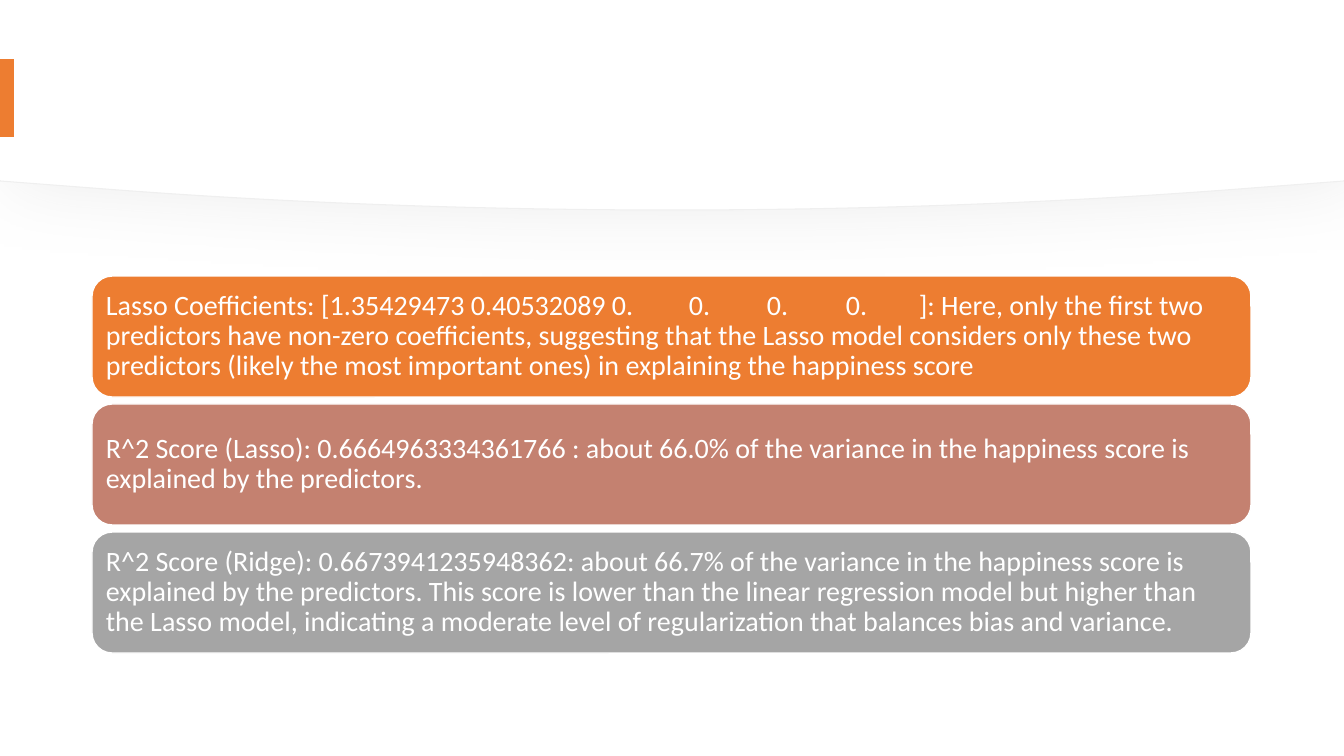
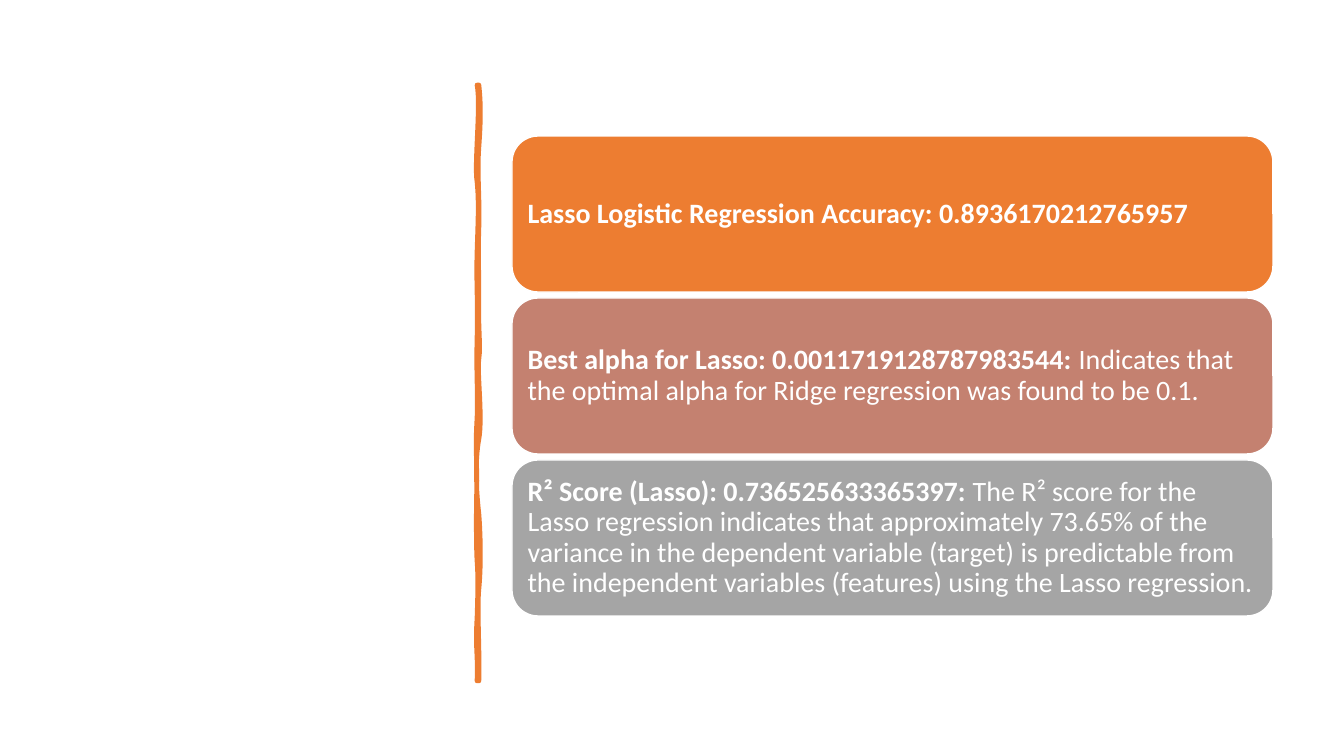
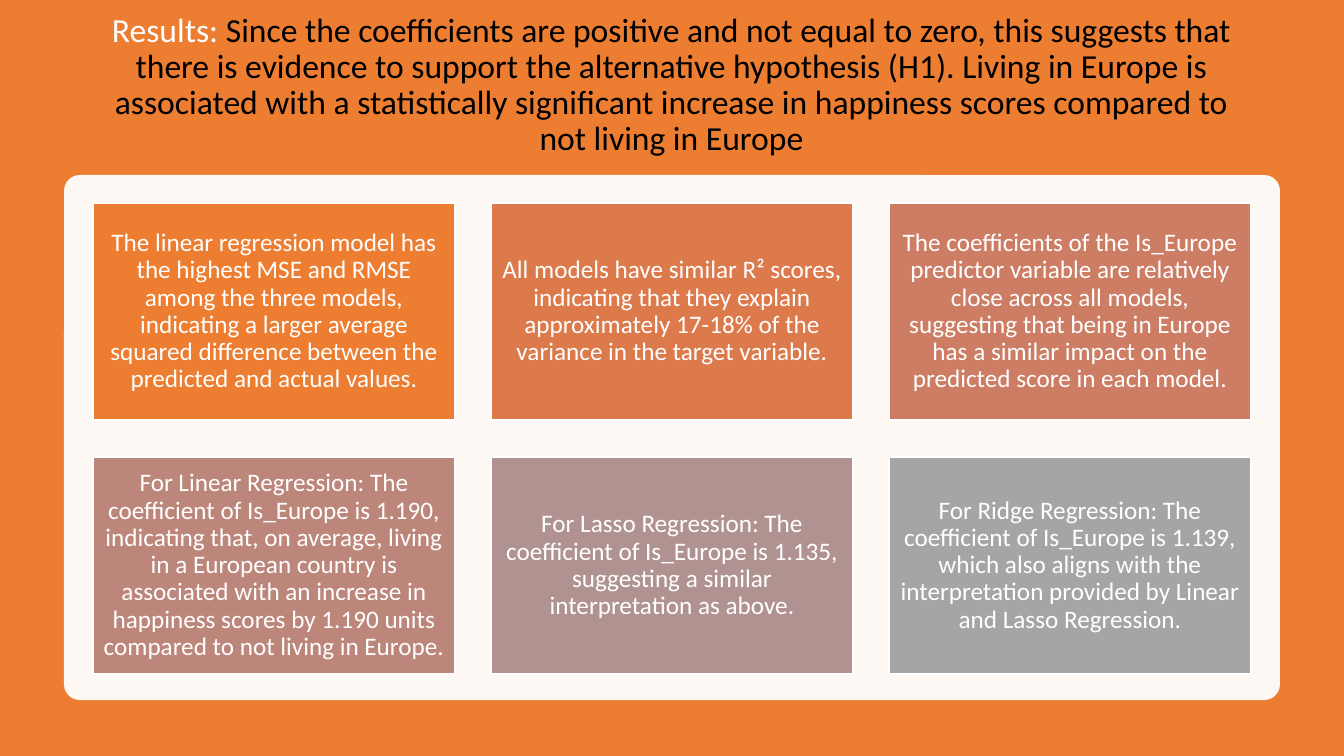
"""Build three slides on regression results: Lasso and Ridge scores, Lasso accuracy, and conclusions."""
from lxml import etree
from pptx import Presentation
from pptx.dml.color import RGBColor
from pptx.enum.shapes import MSO_SHAPE
from pptx.enum.text import MSO_ANCHOR, MSO_AUTO_SIZE, PP_ALIGN
from pptx.oxml.ns import qn
from pptx.util import Emu, Pt

PX = 914400 / 100.8
FONT = "Calibri"
WHITE = RGBColor(0xFF, 0xFF, 0xFF)
BLACK = RGBColor(0x00, 0x00, 0x00)
ORANGE = RGBColor(0xED, 0x7D, 0x31)
BURNT = RGBColor(0xDC, 0x7A, 0x4B)
TERRACOTTA = RGBColor(0xCC, 0x7D, 0x64)
CLAY = RGBColor(0xC4, 0x81, 0x70)
ROSE = RGBColor(0xBD, 0x86, 0x7B)
MAUVE = RGBColor(0xB0, 0x93, 0x91)
GRAY = RGBColor(0xA5, 0xA5, 0xA5)
EDGE = RGBColor(0xEF, 0xEF, 0xEF)
RECTANGLE, ROUNDED = MSO_SHAPE.RECTANGLE, MSO_SHAPE.ROUNDED_RECTANGLE
LEFT, CENTER, MIDDLE = PP_ALIGN.LEFT, PP_ALIGN.CENTER, MSO_ANCHOR.MIDDLE


def paint(shape, fill, line=None, width=1):
    """Give a shape a flat fill, an optional line and no shadow."""
    shape.shadow.inherit = False
    shape.fill.solid()
    shape.fill.fore_color.rgb = fill
    if line is None:
        shape.line.fill.background()
    else:
        shape.line.color.rgb = line
        shape.line.width = Pt(width)


def add_outline(page, start, pieces):
    """Draw a closed outline whose pieces are points (two numbers) or Bezier curves (six numbers)."""
    builder = page.shapes.build_freeform(*(round(v * PX) for v in start), scale=1.0)
    builder.add_line_segments([tuple(round(v * PX) for v in piece[-2:]) for piece in pieces], close=True)
    shape = builder.convert_to_shape()
    segments = list(shape.element.iter(qn("a:lnTo")))
    for segment, piece in zip(segments, pieces):
        if len(piece) == 6:
            curve = etree.Element(qn("a:cubicBezTo"))
            for x, y in zip(piece[::2], piece[1::2]):
                etree.SubElement(curve, qn("a:pt"), x=str(round(x * PX) - shape.left),
                                 y=str(round(y * PX) - shape.top))
            segment.getparent().replace(segment, curve)
    return shape


deck = Presentation()
deck.slide_width, deck.slide_height = Emu(round(1344 * PX)), Emu(round(756 * PX))
title_only, blank = deck.slide_layouts[5], deck.slide_layouts[6]
scores_page = deck.slides.add_slide(blank)
accuracy_page = deck.slides.add_slide(blank)
results_page = deck.slides.add_slide(title_only)

for base, line in ((210, EDGE), (209, None)):
    band = add_outline(scores_page, (0, 0), [
        (1344, 0), (1344, base - 29), (1252, base - 22),
        (1073, base - 8, 878, base, 672, base),
        (466, base, 270, base - 8, 92, base - 22),
        (0, base - 29),
    ])
    paint(band, WHITE, line, 0.75)
    if line is not None:
        effects = band.element.spPr.find(qn("a:effectLst"))
        shadow = etree.SubElement(effects, qn("a:outerShdw"), blurRad=str(Pt(50)), dist=str(Pt(7)),
                                  dir="180000", algn="t", rotWithShape="0")
        tint = etree.SubElement(shadow, qn("a:srgbClr"), val="D9D9D9")
        etree.SubElement(tint, qn("a:alpha"), val="45000")

accent = scores_page.shapes.add_shape(RECTANGLE, *(round(v * PX) for v in (0, 59, 14, 78)))
paint(accent, ORANGE)

divider = add_outline(accuracy_page, (479, 85), [
    (481, 103, 481, 120, 479, 147), (477, 174, 480, 197, 479, 228),
    (478, 259, 479, 264, 479, 296), (478, 328, 481, 345, 479, 359),
    (477, 373, 483, 417, 479, 439), (475, 461, 476, 488, 479, 514),
    (481, 540, 481, 569, 479, 589), (477, 608, 480, 655, 479, 681),
    (478, 681, 477, 681, 477, 681), (478, 651, 475, 649, 477, 618),
    (478, 588, 478, 575, 477, 561), (476, 548, 476, 499, 477, 481),
    (477, 463, 475, 449, 477, 418), (478, 389, 476, 376, 477, 338),
    (478, 300, 476, 283, 477, 252), (478, 220, 479, 202, 477, 182),
    (474, 164, 481, 105, 477, 85),
])
paint(divider, ORANGE, ORANGE, 3.25)

title = results_page.shapes.title
backdrop = results_page.shapes.add_shape(RECTANGLE, 0, 0, deck.slide_width, deck.slide_height)
paint(backdrop, ORANGE)
title.element.addprevious(backdrop.element)
title.left, title.top, title.width, title.height = (round(v * PX) for v in (92, 50, 1159, 111))
frame = title.text_frame
frame.word_wrap = True
frame.auto_size = MSO_AUTO_SIZE.NONE
frame.vertical_anchor = MIDDLE
frame.margin_bottom = round(45 * PX)
para = frame.paragraphs[0]
para.alignment = CENTER
para.line_spacing = 0.9
for text, color in (
    ("Results: ", WHITE),
    ("Since the coefficients are positive and not equal to zero, this suggests that there is evidence to "
     "support the alternative hypothesis (H1). Living in Europe is associated with a statistically "
     "significant increase in happiness scores compared to not living in Europe", BLACK),
):
    span = para.add_run()
    span.text = text
    span.font.name, span.font.size, span.font.color.rgb = FONT, Pt(24), color

panel = results_page.shapes.add_shape(ROUNDED, *(round(v * PX) for v in (64, 175, 1216, 525)))
panel.adjustments[0] = 0.03
paint(panel, WHITE)
panel_color = panel.element.spPr.find(qn("a:solidFill")).find(qn("a:srgbClr"))
etree.SubElement(panel_color, qn("a:alpha"), val="95000")

score_cards = [
    (ORANGE, "", "Lasso Coefficients: [1.35429473 0.40532089 0.\t0.\t0.\t0.\t]: Here, only the first two "
     "predictors have non-zero coefficients, suggesting that the Lasso model considers only these two "
     "predictors (likely the most important ones) in explaining the happiness score"),
    (CLAY, "", "R^2 Score (Lasso): 0.6664963334361766 : about 66.0% of the variance in the happiness score "
     "is explained by the predictors."),
    (GRAY, "", "R^2 Score (Ridge): 0.6673941235948362: about 66.7% of the variance in the happiness score "
     "is explained by the predictors. This score is lower than the linear regression model but higher "
     "than the Lasso model, indicating a moderate level of regularization that balances bias and "
     "variance."),
]
accuracy_cards = [
    (ORANGE, "Lasso Logistic Regression Accuracy: 0.8936170212765957", ""),
    (CLAY, "Best alpha for Lasso: 0.0011719128787983544: ",
     "Indicates that the optimal alpha for Ridge regression was found to be 0.1."),
    (GRAY, "R² Score (Lasso): 0.736525633365397: ",
     "The R² score for the Lasso regression indicates that approximately 73.65% of the variance in the "
     "dependent variable (target) is predictable from the independent variables (features) using the "
     "Lasso regression."),
]
result_cards = [
    (ORANGE, "", "The linear regression model has the highest MSE and RMSE among the three models, "
     "indicating a larger average squared difference between the predicted and actual values."),
    (BURNT, "", "All models have similar R² scores, indicating that they explain approximately 17-18% of "
     "the variance in the target variable."),
    (TERRACOTTA, "", "The coefficients of the Is_Europe predictor variable are relatively close across "
     "all models, suggesting that being in Europe has a similar impact on the predicted score in each "
     "model."),
    (ROSE, "", "For Linear Regression: The coefficient of Is_Europe is 1.190, indicating that, on "
     "average, living in a European country is associated with an increase in happiness scores by 1.190 "
     "units compared to not living in Europe."),
    (MAUVE, "", "For Lasso Regression: The coefficient of Is_Europe is 1.135, suggesting a similar "
     "interpretation as above."),
    (GRAY, "", "For Ridge Regression: The coefficient of Is_Europe is 1.139, which also aligns with the "
     "interpretation provided by Linear and Lasso Regression."),
]
grids = [
    (scores_page, score_cards, ROUNDED, 1, (92, 276, 1159, 121), (0, 128), 8, 20, LEFT),
    (accuracy_page, accuracy_cards, ROUNDED, 1, (512, 136, 761, 156), (0, 162), 8, 20, LEFT),
    (results_page, result_cards, RECTANGLE, 3, (93, 203, 362, 217), (398, 254), 7, 18, CENTER),
]
for page, cards, kind, columns, (left, top, width, height), (step_x, step_y), inset, size, align in grids:
    for index, (fill, lead, body) in enumerate(cards):
        row, column = divmod(index, columns)
        place = (left + column * step_x, top + row * step_y, width, height)
        box = page.shapes.add_shape(kind, *(round(v * PX) for v in place))
        paint(box, fill, WHITE)
        frame = box.text_frame
        frame.word_wrap = True
        frame.vertical_anchor = MIDDLE
        frame.margin_left = frame.margin_right = round(inset * PX)
        frame.margin_top = frame.margin_bottom = round(inset * PX)
        para = frame.paragraphs[0]
        para.alignment = align
        para.line_spacing = 0.9
        for text, bold in ((lead, True), (body, False)):
            if text:
                span = para.add_run()
                span.text = text
                span.font.name, span.font.size, span.font.bold = FONT, Pt(size), bold
                span.font.color.rgb = WHITE
        if "\t" in body:
            tabs = etree.SubElement(next(box.element.iter(qn("a:pPr"))), qn("a:tabLst"))
            for stop in (583, 661, 740, 813):
                etree.SubElement(tabs, qn("a:tab"), pos=str(round(stop * PX)), algn="l")

deck.save("out.pptx")
